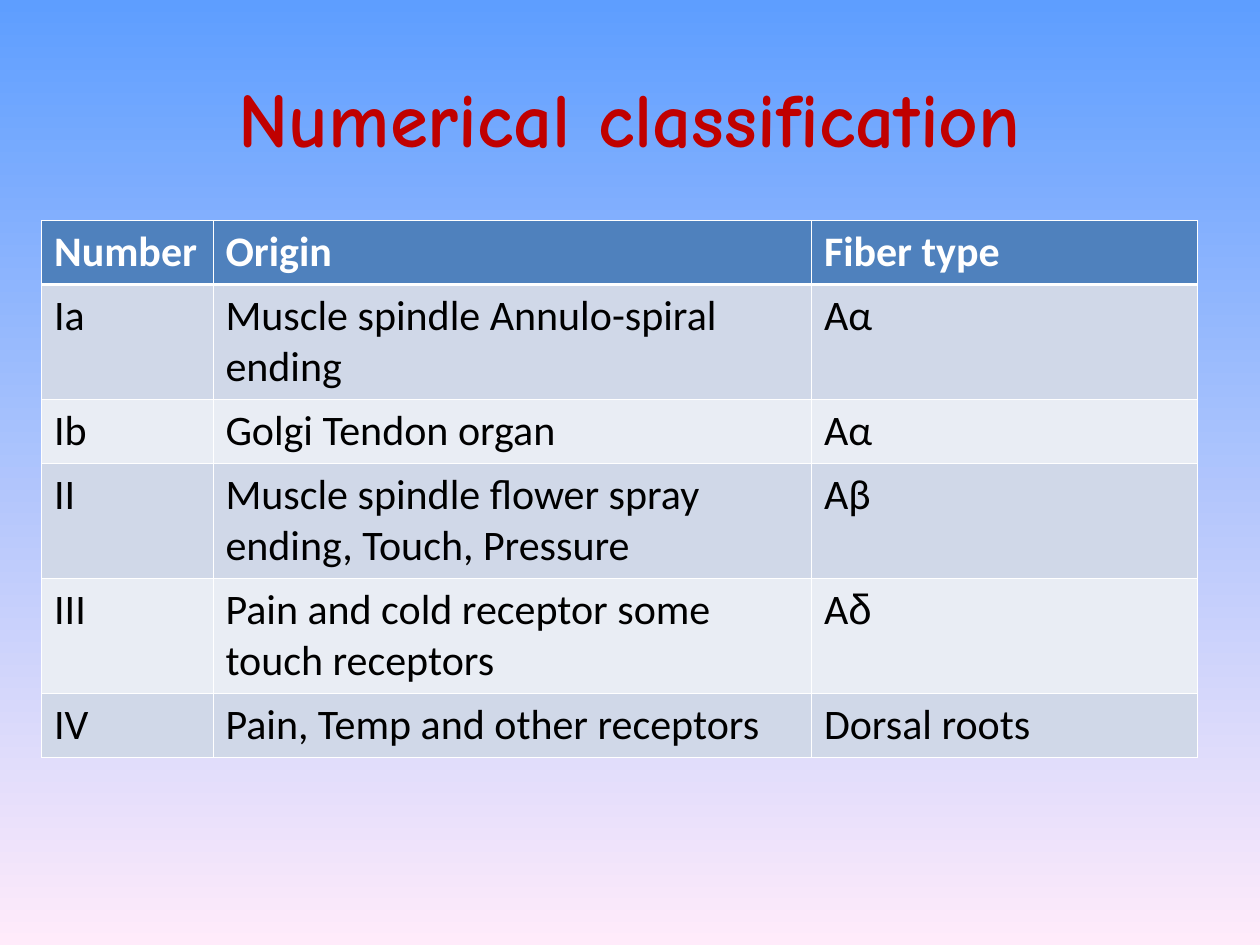
from dataclasses import dataclass

from lxml import etree
from pptx import Presentation
from pptx import util as u
from pptx.dml import color
from pptx.enum import text
from pptx.oxml import ns

COLORS = {
    "sky": "5E9EFF", "pink": "FFEBFA", "title": "C00000", "header": "4F81BD",
    "odd": "D0D8E8", "even": "E9EDF4", "white": "FFFFFF", "black": "000000",
}
FONT, TITLE_FONT, GREEK_FONT = "Calibri", "Comic Neue", "Arial"
THIN, THICK = 0.45, 1.47
COLUMNS = (1.36, 4.75, 3.06)
LINE, PADDING = 0.4, 0.1


@dataclass(frozen=True)
class Fiber:
    number: str
    origin: str
    kind: str
    greek: str = ""  # letter set in GREEK_FONT after the kind
    lines: int = 1


HEADER = Fiber("Number", "Origin", "Fiber type")
FIBERS = (
    Fiber("Ia", "Muscle spindle Annulo-spiral ending", "Aα", lines=2),
    Fiber("Ib", "Golgi Tendon organ", "Aα"),
    Fiber("II", "Muscle spindle flower spray ending, Touch, Pressure", "Aβ", lines=2),
    Fiber("III", "Pain and cold receptor some touch receptors", "A", greek="δ", lines=2),
    Fiber("IV", "Pain, Temp and other receptors", "Dorsal roots"),
)


def rgb(name: str) -> color.RGBColor:
    return color.RGBColor.from_string(COLORS[name])


def add_run(p, words: str, *, size: float = 24, font: str = FONT,
            fill: str = "black", bold: bool = False) -> None:
    r = p.add_run()
    r.text = words
    r.font.size, r.font.name, r.font.bold = u.Pt(size), font, bold
    r.font.color.rgb = rgb(fill)


def set_borders(cell, **widths: float) -> None:
    """Draw white cell borders; widths in points are keyed L, R, T, B in that order."""
    tc_pr = cell._tc.get_or_add_tcPr()
    for side, width in widths.items():
        ln = etree.SubElement(tc_pr, ns.qn(f"a:ln{side}"), w=str(u.Pt(width)))
        solid = etree.SubElement(ln, ns.qn("a:solidFill"))
        etree.SubElement(solid, ns.qn("a:srgbClr"), val=COLORS["white"])


def paint_background(s) -> None:
    fill = s.background.fill
    fill.gradient()
    fill.gradient_angle = 270
    for stop, name, position in zip(fill.gradient_stops, ("sky", "pink"), (0, 1)):
        stop.color.rgb = rgb(name)
        stop.position = position


def add_title(s, words: str, width: int, height: int) -> None:
    sp = s.shapes.title
    sp.left, sp.top = int(width * 0.05), int(height * 0.04)
    sp.width, sp.height = int(width * 0.9), int(height / 6)
    tf = sp.text_frame
    tf.vertical_anchor = text.MSO_ANCHOR.MIDDLE
    p = tf.paragraphs[0]
    p.alignment = text.PP_ALIGN.CENTER
    add_run(p, words, size=44, font=TITLE_FONT, fill="title", bold=True)


def add_fiber_table(s, left: float, top: float) -> None:
    rows = (HEADER, *FIBERS)
    heights = [fiber.lines * LINE + PADDING for fiber in rows]
    frame = s.shapes.add_table(
        len(rows), len(COLUMNS), u.Inches(left), u.Inches(top),
        u.Inches(sum(COLUMNS)), u.Inches(sum(heights)))
    table = frame.table
    for column, width in zip(table.columns, COLUMNS):
        column.width = u.Inches(width)
    for i, (fiber, height) in enumerate(zip(rows, heights)):
        table.rows[i].height = u.Inches(height)
        is_header = i == 0
        band = "header" if is_header else "odd" if i % 2 else "even"
        ink = "white" if is_header else "black"
        for j, words in enumerate((fiber.number, fiber.origin, fiber.kind)):
            cell = table.cell(i, j)
            set_borders(cell, L=THIN, R=THIN, T=THICK if i == 1 else THIN,
                        B=THICK if is_header else THIN)
            cell.fill.solid()
            cell.fill.fore_color.rgb = rgb(band)
            add_run(cell.text_frame.paragraphs[0], words, fill=ink, bold=is_header)
        if fiber.greek:
            add_run(cell.text_frame.paragraphs[0], fiber.greek, font=GREEK_FONT)


def main() -> None:
    prs = Presentation()
    prs.slide_width, prs.slide_height = u.Inches(10), u.Inches(7.5)
    s = prs.slides.add_slide(prs.slide_layouts[5])
    paint_background(s)
    add_title(s, "Numerical classification", prs.slide_width, prs.slide_height)
    add_fiber_table(s, left=0.33, top=1.75)
    prs.save("out.pptx")


if __name__ == "__main__":
    main()
